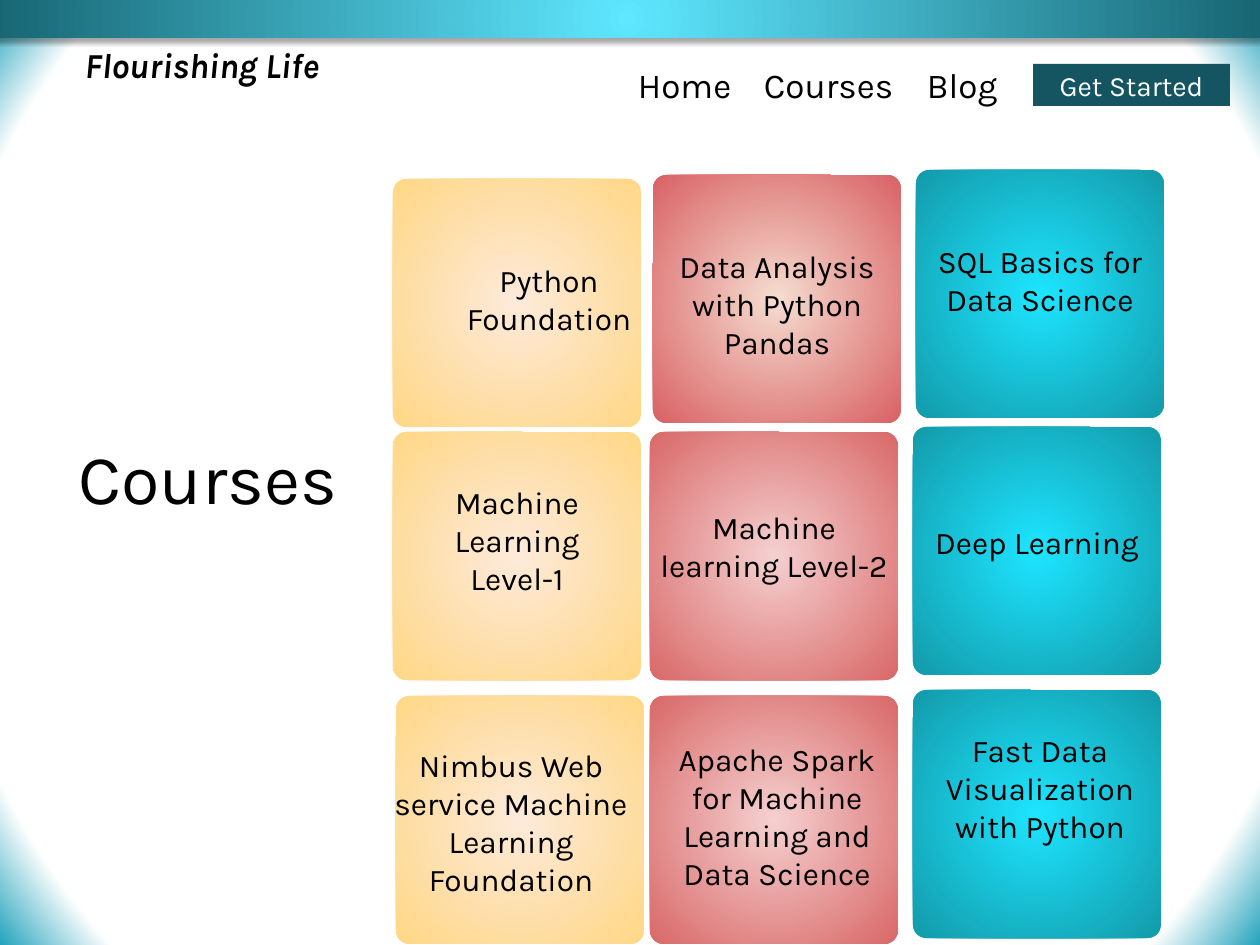
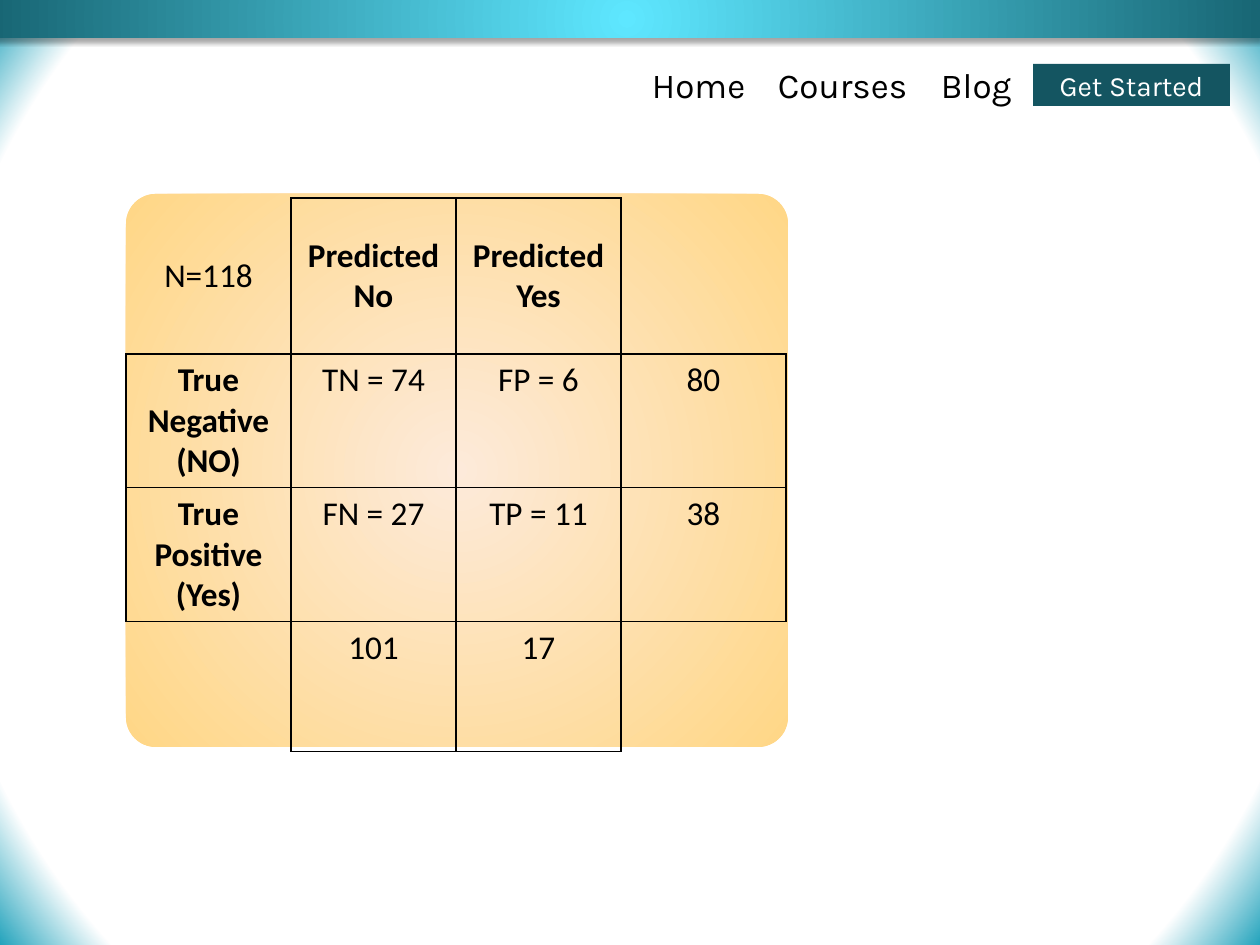
from lxml import etree
from pptx import Presentation
from pptx.dml.color import RGBColor
from pptx.enum.shapes import MSO_SHAPE
from pptx.enum.text import MSO_ANCHOR, MSO_AUTO_SIZE, PP_ALIGN
from pptx.oxml import parse_xml
from pptx.oxml.ns import nsdecls, qn
from pptx.util import Emu, Pt

RECTANGLE = MSO_SHAPE.RECTANGLE
ROUNDED = MSO_SHAPE.ROUNDED_RECTANGLE
MIDDLE = MSO_ANCHOR.MIDDLE
TOP = MSO_ANCHOR.TOP
LEFT = PP_ALIGN.LEFT
CENTER = PP_ALIGN.CENTER
NO_AUTOFIT = MSO_AUTO_SIZE.NONE

PX_PER_INCH = 126
TITLE_ONLY, BLANK = 5, 6

BLACK = "000000"
WHITE = "FFFFFF"
BUTTON_TEAL = "145561"
PAGE_GLOW = [(89, WHITE), (100, "23A3BC")]
BAND_GLOW = [(0, "5EE7FF"), (100, "186674")]
SAND = [(0, "FDEADA"), (100, "FFD786")]
CORAL = [(0, "F5DDD0"), (100, "D96164")]
ROSE = [(0, "F5D0D0"), (100, "D96868")]
AQUA = [(0, "1DE5FF"), (100, "139AAA")]

TILE = 248
TILE_TEXT_HEIGHT = 160
COURSE_TILES = [
    (393, 179, SAND, 425, 299, ["Python Foundation"]),
    (653, 175, CORAL, 653, 304, ["Data Analysis with Python Pandas"]),
    (916, 170, AQUA, 916, 280, ["SQL Basics for Data Science"]),
    (393, 432, SAND, 393, 540, ["Machine Learning", "Level-1"]),
    (650, 432, ROSE, 650, 546, ["Machine learning Level-2"]),
    (913, 427, AQUA, 913, 542, ["Deep Learning"]),
    (396, 696, SAND, 387, 822, ["Nimbus Web service Machine Learning Foundation"]),
    (650, 696, ROSE, 653, 816, ["Apache Spark for Machine Learning and Data Science"]),
    (913, 690, AQUA, 916, 788, ["Fast Data Visualization with Python"]),
]

CONFUSION_MATRIX = [
    [["N=118"], ["Predicted", "No"], ["Predicted", "Yes"], []],
    [["True Negative (NO)"], ["TN = 74"], ["FP = 6"], ["80"]],
    [["True", "Positive (Yes)"], ["FN = 27"], ["TP = 11"], ["38"]],
    [[], ["101"], ["17"], []],
]
MATRIX_ROW_HEIGHTS = [156, 134, 133, 130]
MATRIX_COLUMN_WIDTH = 165


def px(length):
    return Emu(round(length * 914400 / PX_PER_INCH))


def color(value):
    return RGBColor.from_string(value)


class Deck:
    font = "Karla"
    size = 18

    def __init__(self, presentation):
        self.presentation = presentation
        self.slide = None

    def new_slide(self, layout):
        layouts = self.presentation.slide_layouts
        self.slide = self.presentation.slides.add_slide(layouts[layout])

    def gradient(self, fill, parent, stops):
        fill.solid()
        gradient = etree.Element(qn("a:gradFill"), rotWithShape="1")
        stop_list = etree.SubElement(gradient, qn("a:gsLst"))
        for position, value in stops:
            stop = etree.SubElement(stop_list, qn("a:gs"), pos=str(position * 1000))
            etree.SubElement(stop, qn("a:srgbClr"), val=value)
        circle = etree.SubElement(gradient, qn("a:path"), path="circle")
        etree.SubElement(circle, qn("a:fillToRect"), dict.fromkeys("ltrb", "50000"))
        parent.replace(parent.find(qn("a:solidFill")), gradient)

    def shape(self, kind, left, top, width, height, fill):
        shape = self.slide.shapes.add_shape(kind, px(left), px(top), px(width), px(height))
        shape.shadow.inherit = False
        shape.line.fill.background()
        if isinstance(fill, str):
            shape.fill.solid()
            shape.fill.fore_color.rgb = color(fill)
        else:
            self.gradient(shape.fill, shape.element.spPr, fill)
        if kind == ROUNDED:
            shape.adjustments[0] = 0.054
        return shape

    def master_style(self):
        master = self.presentation.slide_master
        fill = master.background.fill
        fill.solid()
        self.gradient(fill, master.element.find(".//" + qn("p:bgPr")), PAGE_GLOW)
        band = self.shape(RECTANGLE, -6, 0, 1266, 38, BAND_GLOW)
        properties = band.element.spPr
        properties.replace(properties.find(qn("a:effectLst")), parse_xml(
            f'<a:effectLst {nsdecls("a")}>'
            '<a:outerShdw blurRad="39370" dist="22860" dir="5400000" rotWithShape="0">'
            f'<a:srgbClr val="{BLACK}"><a:alpha val="35000"/></a:srgbClr>'
            '</a:outerShdw></a:effectLst>'))
        master.shapes.element.insert(2, band.element)

    def add_lines(self, frame, lines, size=None, ink=BLACK, font=None, bold=False,
                  italic=False, align=CENTER, tabs=()):
        for index, line in enumerate(lines):
            paragraph = frame.add_paragraph() if index else frame.paragraphs[0]
            paragraph.alignment = align
            if tabs:
                tab_list = etree.SubElement(paragraph._p.get_or_add_pPr(), qn("a:tabLst"))
                for tab in tabs:
                    etree.SubElement(tab_list, qn("a:tab"), pos=str(px(tab)), algn="l")
            run = paragraph.add_run()
            run.text = line
            run.font.name = font or self.font
            run.font.size = Pt(size or self.size)
            run.font.bold = bold
            run.font.italic = italic
            run.font.color.rgb = color(ink)

    def fill_frame(self, shape, lines, **style):
        frame = shape.text_frame
        frame.word_wrap = True
        frame.auto_size = NO_AUTOFIT
        frame.vertical_anchor = MIDDLE
        frame.margin_left = frame.margin_right = px(6)
        frame.margin_top = frame.margin_bottom = px(3)
        self.add_lines(frame, lines, **style)

    def text(self, left, top, width, height, lines, **style):
        box = self.slide.shapes.add_textbox(px(left), px(top), px(width), px(height))
        self.fill_frame(box, lines, **style)

    def title(self, left, top, width, height, words):
        title = self.slide.shapes.title
        title.left, title.top = px(left), px(top)
        title.width, title.height = px(width), px(height)
        self.fill_frame(title, [words], size=40)

    def navigation(self, left):
        self.text(left, 43, 390, 83, ["Home\tCourses\tBlog"], size=20,
                  align=LEFT, tabs=(126, 289))
        button = self.shape(RECTANGLE, 1033, 64, 197, 42, BUTTON_TEAL)
        self.fill_frame(button, ["Get Started"], size=16, ink=WHITE)

    def tile(self, left, top, glow, text_left, text_middle, lines):
        self.shape(ROUNDED, left, top, TILE, TILE, glow)
        self.text(text_left, text_middle - TILE_TEXT_HEIGHT // 2, TILE,
                  TILE_TEXT_HEIGHT, lines)

    def borders(self, cell, hidden):
        properties = cell._tc.get_or_add_tcPr()
        for index, side in enumerate("LRTB"):
            line = etree.Element(qn("a:ln" + side), w=str(Pt(0.75)))
            if side in hidden:
                etree.SubElement(line, qn("a:noFill"))
            else:
                fill = etree.SubElement(line, qn("a:solidFill"))
                etree.SubElement(fill, qn("a:srgbClr"), val=BLACK)
            properties.insert(index, line)

    def matrix(self, left, top, rows):
        last = len(rows) - 1
        table = self.slide.shapes.add_table(
            len(rows), len(rows[0]), px(left), px(top),
            px(MATRIX_COLUMN_WIDTH * len(rows[0])), px(sum(MATRIX_ROW_HEIGHTS))).table
        table.first_row = table.horz_banding = False
        for column in table.columns:
            column.width = px(MATRIX_COLUMN_WIDTH)
        for r, row in enumerate(rows):
            table.rows[r].height = px(MATRIX_ROW_HEIGHTS[r])
            for c, lines in enumerate(row):
                cell = table.cell(r, c)
                cell.fill.background()
                cell.vertical_anchor = TOP if r else MIDDLE
                self.add_lines(cell.text_frame, lines, size=19, font="Calibri",
                               bold=(r == 0) != (c == 0))
                hidden = ""
                if r in (0, last) and c in (0, last):
                    hidden = ("R" if c else "L") + ("B" if r else "T")
                self.borders(cell, hidden)


def main():
    presentation = Presentation()
    presentation.slide_width = px(1260)
    presentation.slide_height = px(945)
    deck = Deck(presentation)

    deck.new_slide(TITLE_ONLY)
    deck.master_style()
    for tile in COURSE_TILES:
        deck.tile(*tile)
    deck.title(40, 435, 336, 84, "Courses")
    deck.text(42, 23, 320, 83, ["Flourishing Life"], size=20, bold=True, italic=True)
    deck.navigation(632)

    deck.new_slide(BLANK)
    deck.navigation(646)
    deck.shape(ROUNDED, 126, 194, 662, 553, SAND)
    deck.matrix(126, 198, CONFUSION_MATRIX)

    presentation.save("out.pptx")


if __name__ == "__main__":
    main()
